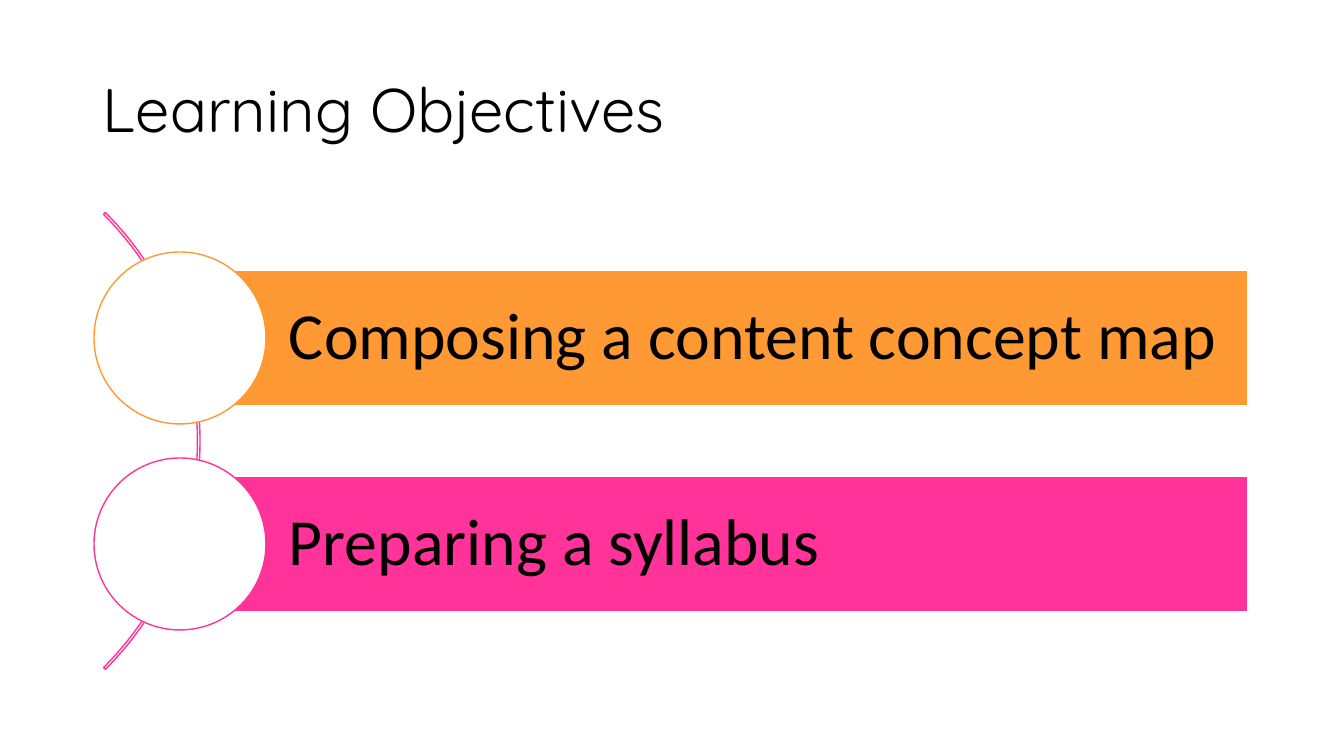
from pptx import Presentation
from pptx.dml.color import RGBColor
from pptx.enum.shapes import MSO_SHAPE as Preset
from pptx.enum.text import MSO_ANCHOR as Anchor, PP_ALIGN as Align
from pptx.util import Emu, Pt

BLACK = RGBColor(0, 0, 0)
WHITE = RGBColor(255, 255, 255)
ORANGE = RGBColor(255, 153, 51)
PINK = RGBColor(255, 51, 153)

OBJECTIVES = [
    ("Composing a content concept map", ORANGE),
    ("Preparing a syllabus", PINK),
]
FIRST_CENTER, PITCH = 338, 206
BAR_LEFT, BAR_WIDTH, BAR_HEIGHT = 180, 1068, 136
CIRCLE_SIZE = 172


def px(length):
    """Convert pixels to EMU at 100.8 pixels to the inch."""
    return Emu(round(length * 914400 / 100.8))


def write_text(shape, text, font_name, size):
    """Fill a shape with one left-aligned, vertically centred line."""
    frame = shape.text_frame
    frame.word_wrap = True
    frame.vertical_anchor = Anchor.MIDDLE
    paragraph = frame.paragraphs[0]
    paragraph.text = text
    paragraph.alignment = Align.LEFT
    paragraph.line_spacing = 0.9
    paragraph.font.name = font_name
    paragraph.font.size = Pt(size)
    paragraph.font.color.rgb = BLACK


def add_title(slide, text):
    """Add the slide heading."""
    box = slide.shapes.add_textbox(px(93), px(40), px(1159), px(146))
    write_text(box, text, "Quicksand", 44)


def add_outlined(slide, preset, left, top, width, height, fill, line):
    """Add a preset shape with a thin outline and an optional fill."""
    shape = slide.shapes.add_shape(preset, px(left), px(top), px(width), px(height))
    shape.shadow.inherit = False
    if fill is None:
        shape.fill.background()
    else:
        shape.fill.solid()
        shape.fill.fore_color.rgb = fill
    shape.line.color.rgb = line
    shape.line.width = Pt(1)
    return shape


def add_arc(slide):
    """Add the thin arc that links the circles."""
    arc = add_outlined(slide, Preset.BLOCK_ARC, -446, 118, 646, 646, None, PINK)
    for index, value in enumerate((189, 27, 0.004)):
        arc.adjustments[index] = value


def add_objective(slide, text, color, center):
    """Add a coloured bar with its text and the circle at its left end."""
    bar = add_outlined(slide, Preset.RECTANGLE, BAR_LEFT, center - BAR_HEIGHT // 2,
                       BAR_WIDTH, BAR_HEIGHT, color, WHITE)
    frame = bar.text_frame
    frame.margin_left = px(109)
    frame.margin_right = frame.margin_top = frame.margin_bottom = px(13)
    write_text(bar, text, "Calibri", 47)
    radius = CIRCLE_SIZE // 2
    add_outlined(slide, Preset.OVAL, BAR_LEFT - radius, center - radius,
                 CIRCLE_SIZE, CIRCLE_SIZE, WHITE, color)


def main():
    """Build and save the slide."""
    presentation = Presentation()
    presentation.slide_width = px(1344)
    presentation.slide_height = px(756)
    slide = presentation.slides.add_slide(presentation.slide_layouts[6])
    add_title(slide, "Learning Objectives")
    add_arc(slide)
    for row, (text, color) in enumerate(OBJECTIVES):
        add_objective(slide, text, color, FIRST_CENTER + row * PITCH)
    presentation.save("out.pptx")


if __name__ == "__main__":
    main()
